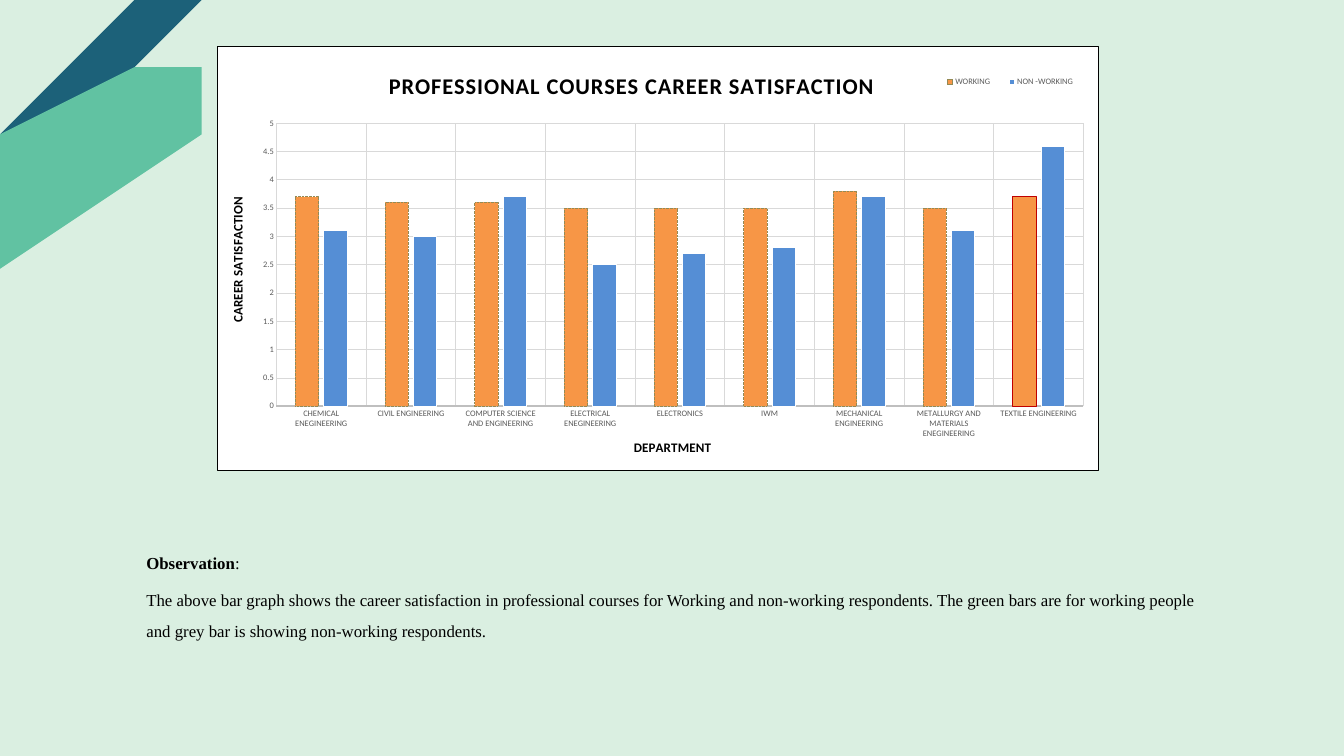
from dataclasses import dataclass
from math import cos, radians, sin
from typing import Optional

from lxml.etree import _Element
from pptx import Presentation
from pptx.chart.data import CategoryChartData
from pptx.dml.color import RGBColor
from pptx.enum.chart import XL_CHART_TYPE, XL_LEGEND_POSITION, XL_TICK_MARK
from pptx.enum.dml import MSO_LINE
from pptx.oxml import parse_xml
from pptx.oxml.ns import nsdecls, qn
from pptx.util import Inches, Pt

W, H = 20, 11.25


@dataclass(frozen=True)
class Theme:
    mint: str = "DAEFE1"
    navy: str = "1C6179"
    green: str = "61C2A2"
    black: str = "000000"
    white: str = "FFFFFF"
    label: str = "595959"
    grid: str = "D9D9D9"
    axis: str = "BFBFBF"
    highlight: str = "C00000"
    heading: int = 24
    body: int = 18
    axis_title: int = 14
    tick: int = 9
    sans: str = "Calibri"
    serif: str = "Times New Roman"


T = Theme()


@dataclass(frozen=True)
class Arc:
    """Part of a rounded end: centre in inches, start and stop in degrees."""
    x: float
    y: float
    start: int
    stop: int


@dataclass(frozen=True)
class Band:
    """A diagonal band: its rounded ends, then its corners on the slide edge."""
    arcs: tuple
    corners: tuple
    color: str


@dataclass(frozen=True)
class Series:
    name: str
    values: tuple
    fill: str
    line: str
    dash: Optional[MSO_LINE] = None


RADIUS = 0.66
BANDS = (
    Band((Arc(2.59, -0.1, 9, 45), Arc(-0.12, 2.6, 45, 79)),
         ((0, 3.23), (0, 1.54), (1.54, 0), (3.23, 0)), T.navy),
    Band((Arc(2.12, 1.22, -135, 45),), ((0, 4.25), (0, 2.41)), T.green),
)
DEPARTMENTS = (
    "CHEMICAL ENEGINEERING", "CIVIL ENGINEERING",
    "COMPUTER SCIENCE AND ENGINEERING", "ELECTRICAL ENEGINEERING",
    "ELECTRONICS", "IWM", "MECHANICAL ENGINEERING",
    "METALLURGY AND MATERIALS ENEGINEERING", "TEXTILE ENGINEERING",
)
SERIES = (
    Series("WORKING", (3.7, 3.6, 3.6, 3.5, 3.5, 3.5, 3.8, 3.5, 3.7),
           "F79646", "948A54", MSO_LINE.ROUND_DOT),
    Series("NON -WORKING", (3.1, 3, 3.7, 2.5, 2.7, 2.8, 3.7, 3.1, 4.6),
           "558ED5", T.white),
)


def rgb(value: str) -> RGBColor:
    return RGBColor.from_string(value)


def box(left: float, top: float, width: float, height: float) -> tuple:
    """Turn shares of the slide's size into lengths."""
    return (Inches(left * W), Inches(top * H),
            Inches(width * W), Inches(height * H))


def style_font(font, size: int, color: str, name: str, bold: bool = False) -> None:
    font.size, font.name, font.bold = Pt(size), name, bold
    font.color.rgb = rgb(color)


def style_line(line, color: str, width: float = 0.75) -> None:
    line.color.rgb = rgb(color)
    line.width = Pt(width)


def write(p, text: str, *, size: int, name: str, color: str = T.black,
          bold: bool = False, spacing: int = 0) -> None:
    r = p.add_run()
    r.text = text
    style_font(r.font, size, color, name, bold)
    if spacing:
        r.font._element.set("spc", str(spacing))


def place(element: _Element, *shares: float, inner: bool = False) -> None:
    """Fix a chart part at x, y and, if given, w, h shares of the chart."""
    for old in element.findall(qn("c:layout")):
        element.remove(old)
    target = '<c:layoutTarget val="inner"/>' if inner else ""
    modes = "".join(f'<c:{k}Mode val="edge"/>' for k in "xy")
    sizes = "".join(f'<c:{k} val="{v}"/>' for k, v in zip("xywh", shares))
    layout = parse_xml(f'<c:layout {nsdecls("c")}><c:manualLayout>{target}{modes}'
                       f'{sizes}</c:manualLayout></c:layout>')
    first = element[0] if len(element) else None
    after_first = first is not None and first.tag in (qn("c:tx"), qn("c:legendPos"))
    element.insert(int(after_first), layout)


def title_part(title, text: str, x: float, y: float, *, size: int,
               spacing: int = 0, rotation: int = 0) -> None:
    tf = title.text_frame
    write(tf.paragraphs[0], text, size=size, name=T.sans, bold=True, spacing=spacing)
    tf._txBody.bodyPr.set("rot", str(rotation * 60000))
    place(title._element, x, y)


def draw_band(s, band: Band) -> None:
    points = [(a.x + RADIUS * cos(radians(d)), a.y + RADIUS * sin(radians(d)))
              for a in band.arcs
              for d in range(a.start, a.stop + 1, 2)]
    points = [(max(x, 0), max(y, 0)) for x, y in points] + list(band.corners)
    builder = s.shapes.build_freeform(*points[0], scale=Inches(1))
    builder.add_line_segments(points[1:], close=True)
    sp = builder.convert_to_shape()
    sp.shadow.inherit = False
    sp.fill.solid()
    sp.fill.fore_color.rgb = rgb(band.color)
    sp.line.fill.background()


def style_axis(axis) -> None:
    axis.major_tick_mark = axis.minor_tick_mark = XL_TICK_MARK.NONE
    axis.has_major_gridlines = True
    style_line(axis.major_gridlines.format.line, T.grid)
    style_font(axis.tick_labels.font, T.tick, T.label, T.sans)


def draw_chart(s) -> None:
    data = CategoryChartData()
    data.categories = DEPARTMENTS
    for item in SERIES:
        data.add_series(item.name, item.values)
    chart = s.shapes.add_chart(XL_CHART_TYPE.COLUMN_CLUSTERED,
                               *box(0.1615, 0.0605, 0.656, 0.562), data).chart
    style_font(chart.font, 10, T.black, T.sans)
    chart.element.find(qn("c:chart")).addnext(parse_xml(
        f'<c:spPr {nsdecls("c", "a")}><a:solidFill><a:srgbClr val="{T.white}"/>'
        f'</a:solidFill><a:ln w="{Pt(0.75)}"><a:solidFill><a:srgbClr val="{T.black}"/>'
        '</a:solidFill></a:ln></c:spPr>'))

    # Columns
    plot = chart.plots[0]
    plot.gap_width, plot.overlap, plot.vary_by_categories = 164, -22, False
    for item, series in zip(SERIES, plot.series):
        series.format.fill.solid()
        series.format.fill.fore_color.rgb = rgb(item.fill)
        style_line(series.format.line, item.line)
        if item.dash:
            series.format.line.dash_style = item.dash
    last = plot.series[0].points[len(DEPARTMENTS) - 1].format
    last.fill.solid()
    last.fill.fore_color.rgb = rgb(SERIES[0].fill)
    style_line(last.line, T.highlight)

    # Axes
    cat, val = chart.category_axis, chart.value_axis
    for axis in (cat, val):
        style_axis(axis)
    style_line(cat.format.line, T.axis, 1.5)
    val.format.line.fill.background()
    val.minimum_scale, val.maximum_scale, val.major_unit = 0, 5, 0.5

    # Titles, legend and plot area
    title_part(chart.chart_title, "PROFESSIONAL COURSES CAREER SATISFACTION",
               0.19, 0.05, size=T.heading, spacing=100)
    title_part(cat.axis_title, "DEPARTMENT", 0.47, 0.92, size=T.axis_title)
    title_part(val.axis_title, "CAREER SATISFACTION", 0.01, 0.35,
               size=T.axis_title, rotation=-90)
    chart.has_legend = True
    chart.legend.position = XL_LEGEND_POSITION.TOP
    chart.legend.include_in_layout = False
    style_font(chart.legend.font, T.tick, T.label, T.sans)
    place(chart.legend._element, 0.81, 0.06, 0.18, 0.05)
    place(chart.element.find(f'{qn("c:chart")}/{qn("c:plotArea")}'),
          0.067, 0.182, 0.916, 0.667, inner=True)


def draw_observation(s) -> None:
    tf = s.shapes.add_textbox(*box(0.104, 0.713, 0.7915, 0.177)).text_frame
    tf.word_wrap = True
    heading, body = tf.paragraphs[0], tf.add_paragraph()
    for p in (heading, body):
        p.line_spacing, p.space_after = 1.5, Pt(8)
    write(heading, "Observation", size=T.body, name=T.serif, bold=True)
    write(heading, ":", size=T.body, name=T.serif)
    write(body, "The above bar graph shows the career satisfaction in professional "
          "courses for Working and non-working respondents. The green bars are for "
          "working people and grey bar is showing non-working respondents.",
          size=T.body, name=T.serif)


def main() -> None:
    prs = Presentation()
    prs.slide_width, prs.slide_height = Inches(W), Inches(H)
    s = prs.slides.add_slide(prs.slide_layouts[6])
    s.background.fill.solid()
    s.background.fill.fore_color.rgb = rgb(T.mint)
    for band in BANDS:
        draw_band(s, band)
    draw_observation(s)
    draw_chart(s)
    prs.save("out.pptx")


if __name__ == "__main__":
    main()
